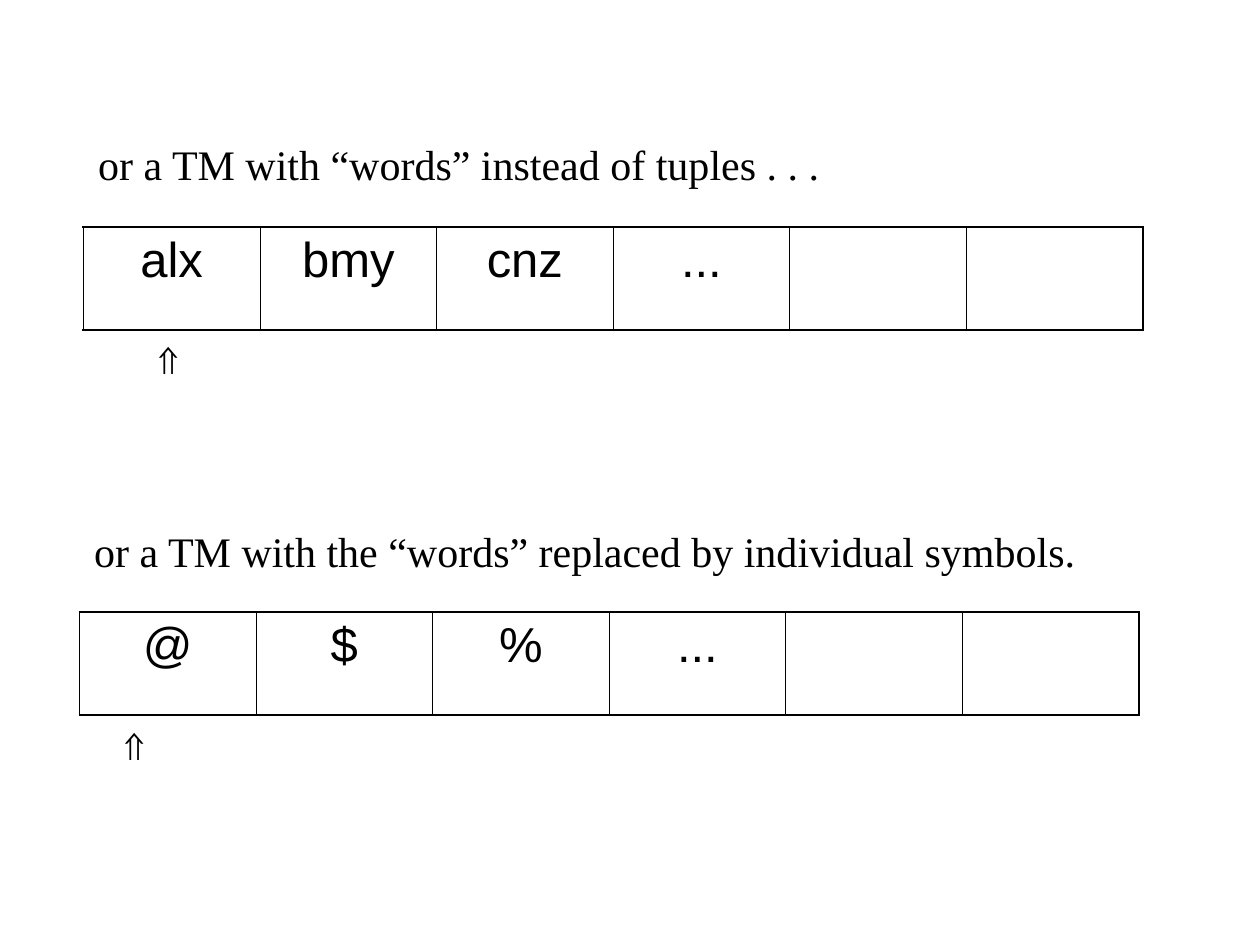
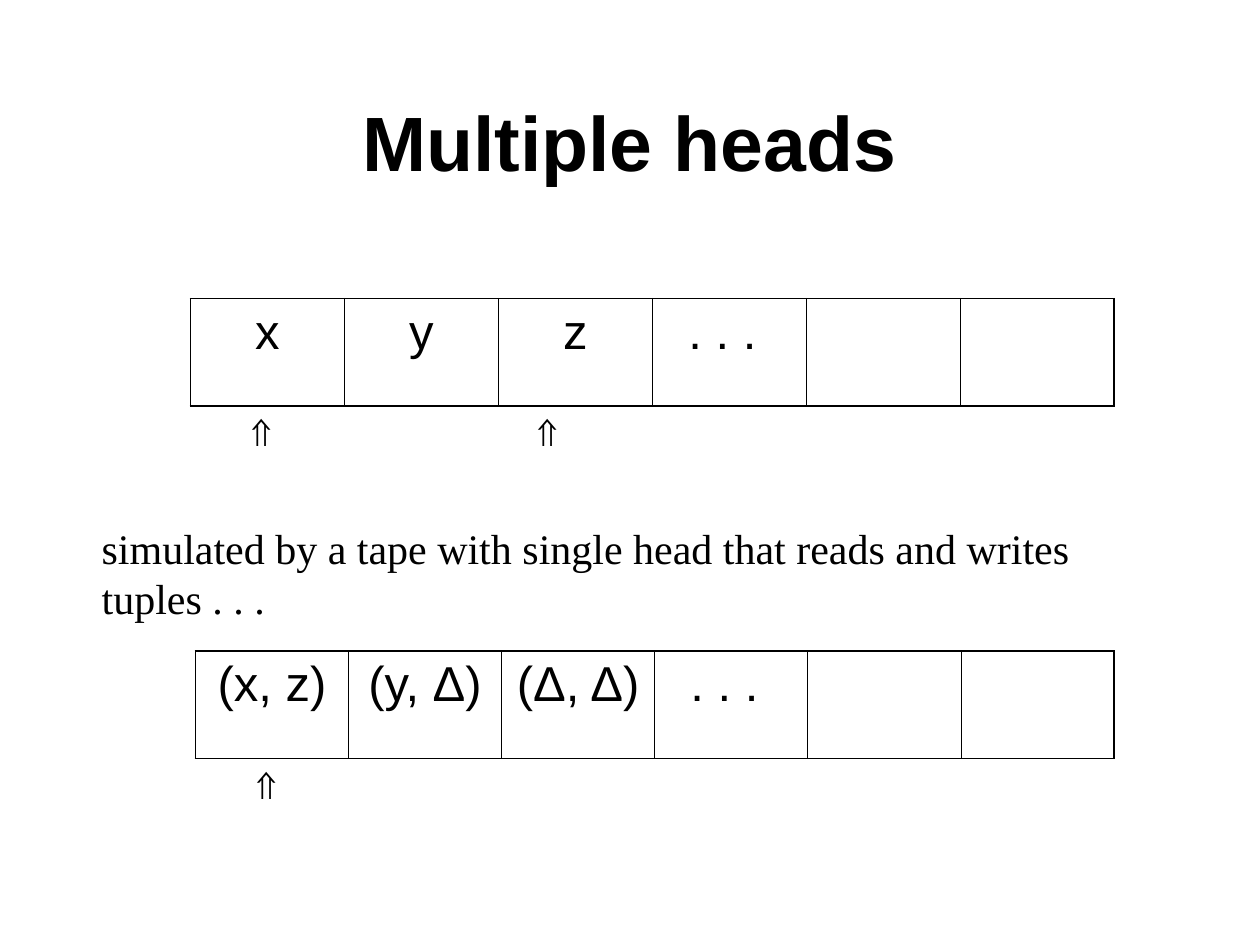
from lxml import etree
from pptx import Presentation
from pptx.dml.color import RGBColor
from pptx.enum import text
from pptx.oxml import ns
from pptx.util import Cm, Pt

BLACK = RGBColor(0x00, 0x00, 0x00)
TITLE = {"name": "Arial", "size": Pt(44), "bold": True}
CAPTION = {"name": "Times New Roman", "size": Pt(24), "bold": False}
HEAD = {"name": "Arial", "size": Pt(24), "bold": False}
SYMBOL = {"name": "Arial", "size": Pt(28), "bold": False}
OUTER, INNER = Pt(1.08), Pt(0.45)
CAPTION_WIDTH = 21.08
HEAD_DROP = 2.01


def write(frame, words, style, align=text.PP_ALIGN.LEFT):
    paragraph = frame.paragraphs[0]
    paragraph.alignment = align
    run = paragraph.add_run()
    run.text = words
    for name, value in style.items():
        setattr(run.font, name, value)
    run.font.color.rgb = BLACK


def add_text(slide, box, words, style, align=text.PP_ALIGN.LEFT,
             anchor=text.MSO_ANCHOR.TOP):
    shape = slide.shapes.add_textbox(*(Cm(length) for length in box))
    frame = shape.text_frame
    frame.word_wrap = True
    frame.vertical_anchor = anchor
    write(frame, words, style, align)


def add_borders(cell, widths):
    properties = cell._tc.get_or_add_tcPr()
    for side, width in widths.items():
        line = etree.SubElement(properties, ns.qn(f"a:ln{side}"), w=str(int(width)))
        fill = etree.SubElement(line, ns.qn("a:solidFill"))
        etree.SubElement(fill, ns.qn("a:srgbClr"), val=str(BLACK))


def add_tape(slide, box, symbols, heads):
    left, top, width, height = box
    count = len(symbols)
    frame = slide.shapes.add_table(1, count, *(Cm(length) for length in box))
    table = frame.table
    table.first_row = table.horz_banding = False
    for index, symbol in enumerate(symbols):
        table.columns[index].width = Cm(width / count)
        cell = table.cell(0, index)
        add_borders(cell, {
            "L": OUTER if index == 0 else INNER,
            "R": OUTER if index == count - 1 else INNER,
            "T": OUTER,
            "B": OUTER,
        })
        cell.fill.background()
        if symbol:
            write(cell.text_frame, symbol, SYMBOL, text.PP_ALIGN.CENTER)
    for offset in heads:
        add_text(slide, (left + offset, top + HEAD_DROP, 1.02, 1.27), "⇑", HEAD)


def add_captioned_tape(slide, box, caption, indent, rise, symbols, heads):
    left, top = box[:2]
    add_text(slide, (left + indent, top - rise, CAPTION_WIDTH, 1.27), caption, CAPTION)
    add_tape(slide, box, symbols, heads)


def build_words_slide(slide):
    add_captioned_tape(slide, (1.68, 4.57, 21.36, 2.08),
                       "or a TM with “words” instead of tuples . . .", 0.05, 1.9,
                       ["alx", "bmy", "cnz", "...", "", ""], [1.16])
    add_captioned_tape(slide, (1.6, 12.34, 21.36, 2.08),
                       "or a TM with the “words” replaced by individual symbols.", 0.05, 1.88,
                       ["@", "$", "%", "...", "", ""], [0.56])


def build_heads_slide(slide):
    add_text(slide, (1.9, 1.47, 21.59, 2.74), "Multiple heads", TITLE,
             text.PP_ALIGN.CENTER, text.MSO_ANCHOR.MIDDLE)
    add_tape(slide, (3.84, 6.02, 18.62, 2.16),
             ["x", "y", "z", ". . . ", "", ""], [0.88, 6.65])
    add_captioned_tape(slide, (3.94, 13.13, 18.52, 2.16),
                       "simulated by a tape with single head that reads and writes tuples . . .",
                       -2.14, 2.72,
                       ["(x, z)", "(y, Δ)", "(Δ, Δ)", ". . . ", "", ""], [0.89])


def main():
    presentation = Presentation()
    presentation.slide_width, presentation.slide_height = Cm(25.4), Cm(19.05)
    for build in (build_words_slide, build_heads_slide):
        build(presentation.slides.add_slide(presentation.slide_layouts[6]))
    presentation.save("out.pptx")


if __name__ == "__main__":
    main()
